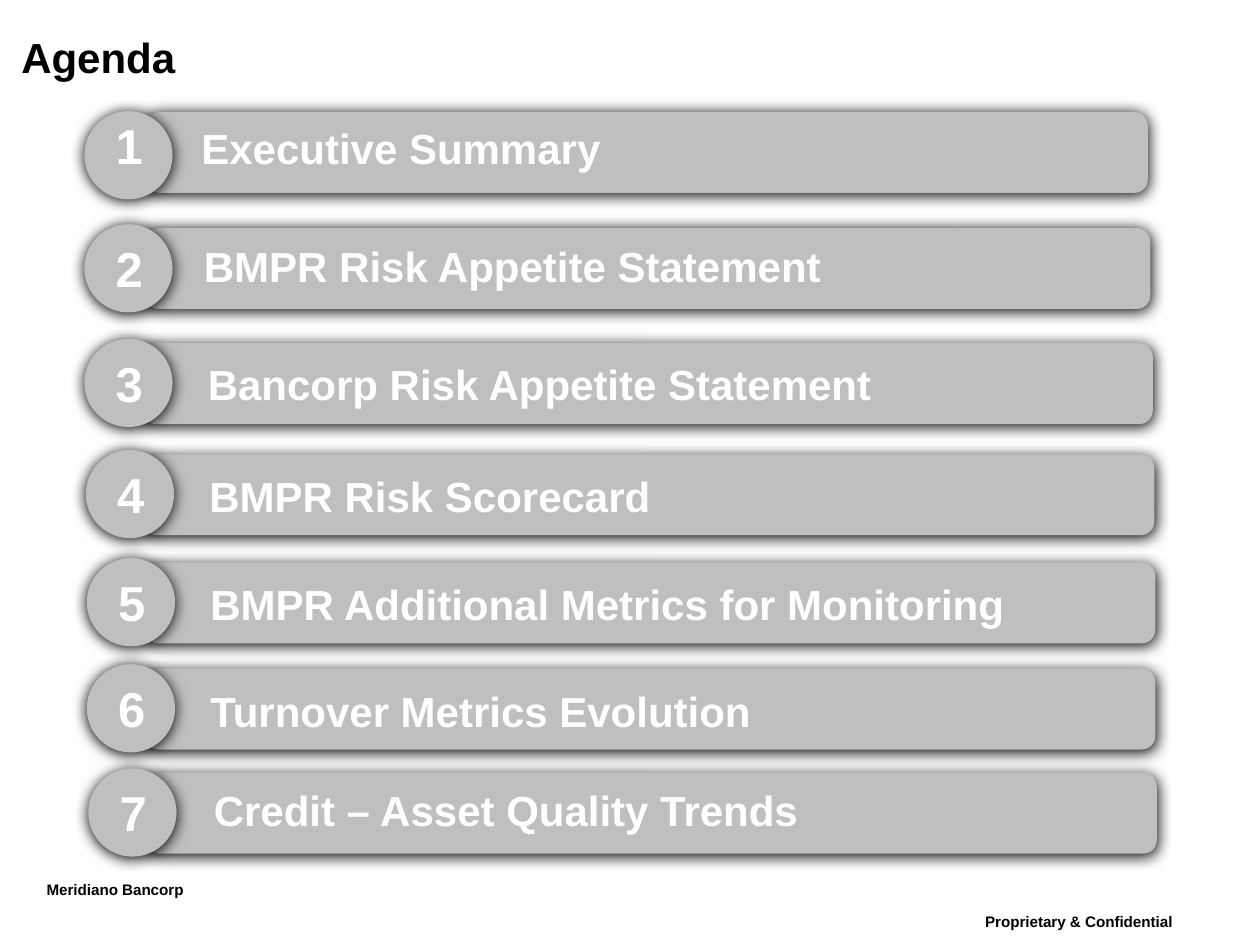
from dataclasses import dataclass

from lxml.etree import SubElement
from pptx import Presentation
from pptx.dml.color import RGBColor
from pptx.enum.shapes import MSO_SHAPE
from pptx.enum.text import MSO_ANCHOR, PP_ALIGN
from pptx.oxml.ns import qn
from pptx.util import Cm, Pt

FONT = "Arial"
BLACK, WHITE, GREY = "000000", "FFFFFF", "BFBFBF"
CIRCLE_SIZE, BAR_HEIGHT = 1.78, 1.63


def color(hex_string):
    return RGBColor.from_string(hex_string)


@dataclass
class AgendaItem:
    """One agenda row; lengths in cm, offsets measured from the circle."""
    title: str
    left: float
    top: float
    title_left: float
    title_top: float
    bar_left: float = 1.17
    bar_top: float = 0.09
    bar_width: float = 20.37
    number_top: float = 0.16
    number_anchor: MSO_ANCHOR = MSO_ANCHOR.MIDDLE


ITEMS = [
    AgendaItem("Executive Summary", 1.70, 2.24, 2.11, 0.10,
               1.25, 0.02, 20.19, -0.03, MSO_ANCHOR.TOP),
    AgendaItem("BMPR Risk Appetite Statement", 1.70, 4.52, 2.16, 0.20,
               1.22, 0.08, 20.27),
    AgendaItem("Bancorp Risk Appetite Statement", 1.70, 6.83, 2.24, 0.28),
    AgendaItem("BMPR Risk Scorecard", 1.73, 9.07, 2.24, 0.30),
    AgendaItem("BMPR Additional Metrics for Monitoring", 1.75, 11.25, 2.24, 0.28),
    AgendaItem("Turnover Metrics Evolution", 1.75, 13.39, 2.24, 0.30),
    AgendaItem("Credit – Asset Quality Trends", 1.78, 15.49, 2.28, 0.21),
]


class AgendaSlide:
    def __init__(self, deck):
        self.slide = deck.slides.add_slide(deck.slide_layouts[6])
        self.shapes = self.slide.shapes

    def text(self, shapes, content, left, top, width, height, size,
             hex_string=BLACK, align=PP_ALIGN.LEFT, anchor=MSO_ANCHOR.TOP):
        box = shapes.add_textbox(Cm(left), Cm(top), Cm(width), Cm(height))
        frame = box.text_frame
        frame.word_wrap = True
        frame.vertical_anchor = anchor
        frame.text = content
        para = frame.paragraphs[0]
        para.alignment = align
        font = para.runs[0].font
        font.name, font.size, font.bold = FONT, Pt(size), True
        font.color.rgb = color(hex_string)
        return box

    def heading(self, content):
        frame = self.text(self.shapes, content, 0.43, 0.64, 23.29, 1.27, 24).text_frame
        frame.margin_left = frame.margin_right = 0
        frame.margin_top = frame.margin_bottom = 0

    def footer(self, content, left, top, width):
        """Add a small line set as raised text."""
        box = self.text(self.shapes, content, left, top, width, 0.89, 15)
        span = box.text_frame.paragraphs[0].runs[0]
        span.font._element.set("baseline", "30000")

    def raised_shape(self, shapes, kind, left, top, width, height):
        """Add a grey shape with a soft shadow below it."""
        shape = shapes.add_shape(kind, Cm(left), Cm(top), Cm(width), Cm(height))
        shape.fill.solid()
        shape.fill.fore_color.rgb = color(GREY)
        shape.line.fill.background()
        shape.shadow.inherit = False
        effects = shape._element.spPr.find(qn("a:effectLst"))
        shadow = SubElement(effects, qn("a:outerShdw"), blurRad=str(Pt(8.5)),
                            dist=str(Pt(1)), dir="5400000", rotWithShape="0")
        SubElement(shadow, qn("a:srgbClr"), val=BLACK)

    def badge(self, number, item):
        group = self.shapes.add_group_shape().shapes
        self.raised_shape(group, MSO_SHAPE.OVAL, item.left, item.top,
                          CIRCLE_SIZE, CIRCLE_SIZE)
        self.text(group, str(number), item.left + 0.38, item.top + item.number_top,
                  0.99, 1.45, 28, WHITE, PP_ALIGN.CENTER, item.number_anchor)

    def agenda_row(self, number, item):
        self.raised_shape(self.shapes, MSO_SHAPE.ROUNDED_RECTANGLE,
                          item.left + item.bar_left, item.top + item.bar_top,
                          item.bar_width, BAR_HEIGHT)
        self.badge(number, item)
        self.text(self.shapes, item.title, item.left + item.title_left,
                  item.top + item.title_top, 20.2, 1.45, 24, WHITE)


def main():
    deck = Presentation()
    deck.slide_width, deck.slide_height = Cm(25.4), Cm(19.05)
    agenda = AgendaSlide(deck)
    agenda.footer("Proprietary & Confidential", 19.61, 18.21, 5.54)
    agenda.footer("Meridiano Bancorp", 0.69, 17.55, 3.78)
    agenda.heading("Agenda")
    for number, item in enumerate(ITEMS, start=1):
        agenda.agenda_row(number, item)
    deck.save("out.pptx")


if __name__ == "__main__":
    main()
